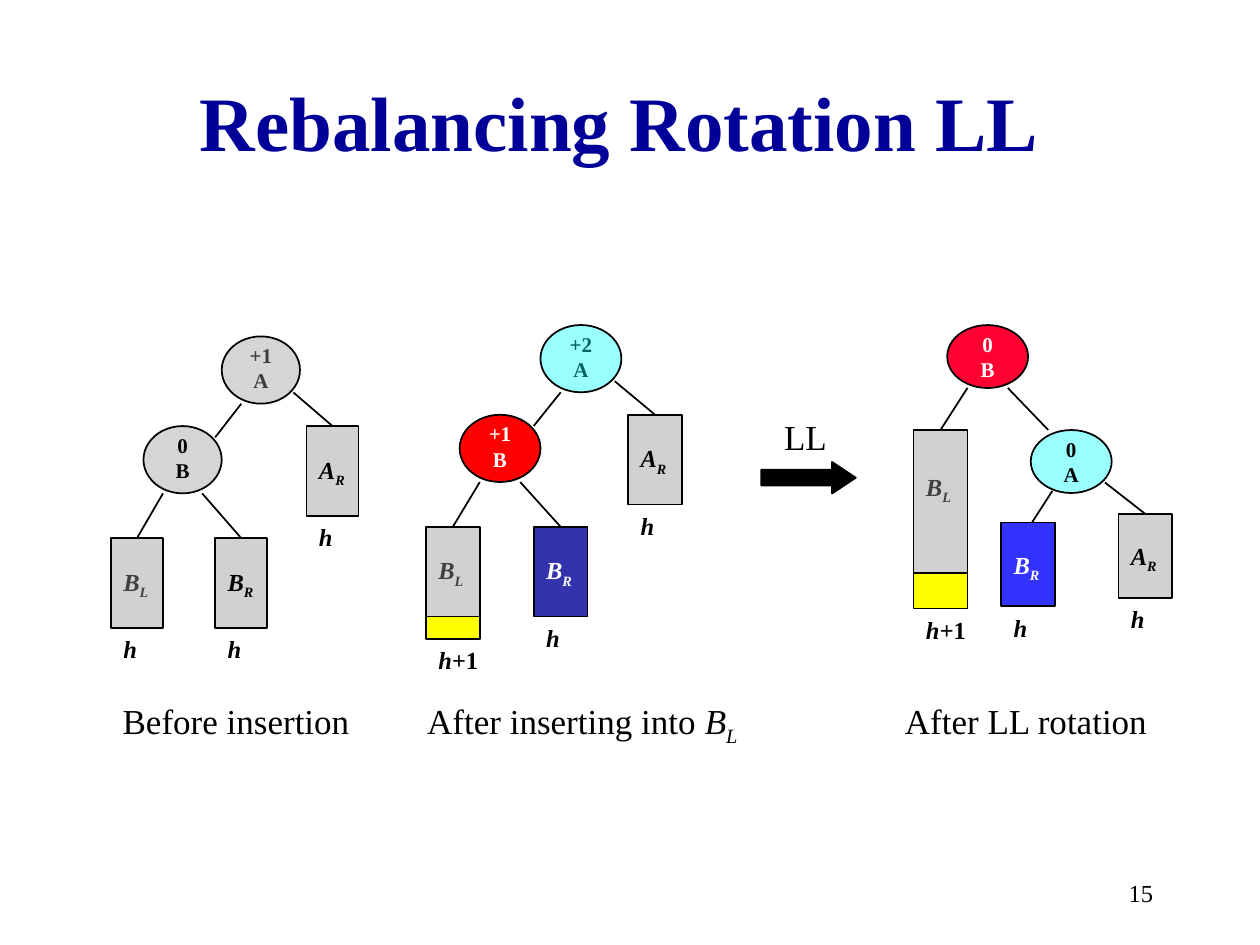
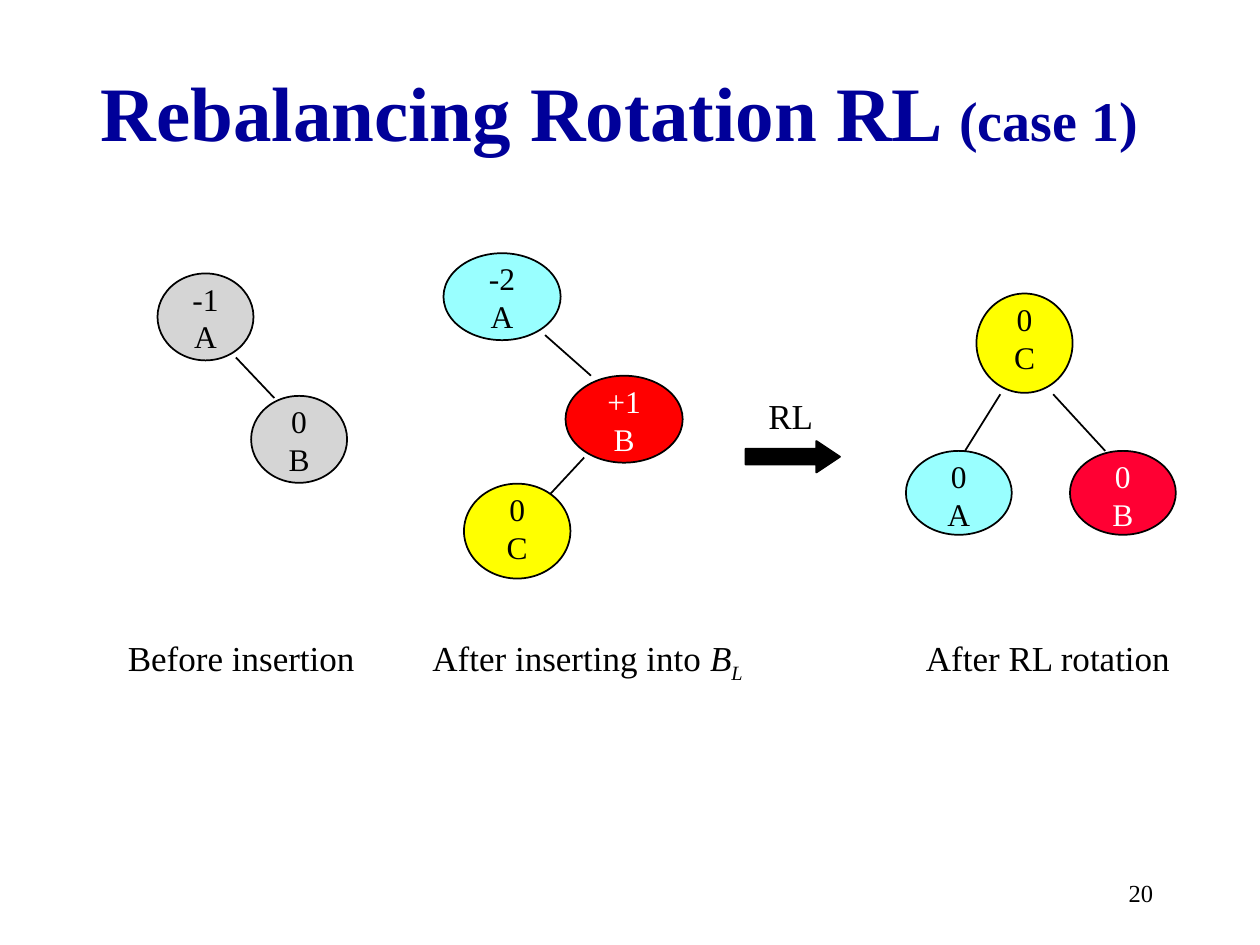
"""Build two slides that show AVL tree rebalancing rotations."""
import dataclasses

import lxml.etree
import pptx
import pptx.dml.color
import pptx.enum.shapes
import pptx.enum.text
import pptx.oxml.ns
import pptx.util

SHAPES = pptx.enum.shapes.MSO_SHAPE
ALIGN = pptx.enum.text.PP_ALIGN
MIDDLE = pptx.enum.text.MSO_ANCHOR.MIDDLE
FONT = "Times New Roman"
NAVY, BLACK, WHITE = "000099", "000000", "FFFFFF"
GREY_NODE, CYAN = ("969696", 40), ("00FFFF", 40)
GREY_BOX, NAVY_BOX, BLUE_BOX = ("969696", 43), (NAVY, 80), ("0000FF", 80)
RED, CRIMSON, YELLOW = ("FF0000", 100), ("FF0033", 100), ("FFFF00", 100)
B_LEFT = [("B", "italic"), ("L", "subscript")]
B_RIGHT = [("B", "italic"), ("R", "subscript")]
A_RIGHT = [("A", "italic"), ("R", "subscript")]
H = [("h", "italic")]
H_PLUS_1 = [("h+", "italic"), ("1", "")]


@dataclasses.dataclass
class Grid:
    """Origin and cell size, in inches, of a grid on the slide."""
    left: float
    top: float
    column: float
    row: float

    def point(self, x, y):
        """Return the slide position of a grid point."""
        return (pptx.util.Inches(self.left + x * self.column),
                pptx.util.Inches(self.top + y * self.row))

    def box(self, x, y, width, height):
        """Return left, top, width and height of a grid area."""
        return (*self.point(x, y), pptx.util.Inches(width * self.column),
                pptx.util.Inches(height * self.row))


PAGE = Grid(0, 0, 1 / 12, 1 / 12)


def color(hex_string):
    """Turn a hex string into a colour."""
    return pptx.dml.color.RGBColor.from_string(hex_string)


def write(paragraph, runs, size, ink=BLACK, bold=False, align=ALIGN.LEFT):
    """Fill a paragraph with (text, style) runs."""
    paragraph.alignment = align
    for text, style in runs:
        run = paragraph.add_run()
        run.text = text
        run.font.name = FONT
        run.font.size = pptx.util.Pt(size)
        run.font.bold = bold
        run.font.italic = style in ("italic", "subscript")
        run.font.color.rgb = color(ink)
        if style == "subscript":
            run.font._element.set("baseline", "-25000")


def add_text(shapes, box, lines, size, **style):
    """Add a text box with one paragraph for each list of runs."""
    shape = shapes.add_textbox(*box)
    frame = shape.text_frame
    frame.word_wrap = True
    for index, runs in enumerate(lines):
        paragraph = frame.add_paragraph() if index else frame.paragraphs[0]
        write(paragraph, runs, size, **style)
    return shape


def add_outlined(shapes, kind, box, fill):
    """Add a black-outlined shape with a (colour, opacity) fill."""
    shape = shapes.add_shape(kind, *box)
    shape.shadow.inherit = False
    shape.fill.solid()
    shape.fill.fore_color.rgb = color(fill[0])
    shape.line.color.rgb = color(BLACK)
    shape.line.width = pptx.util.Pt(1)
    if fill[1] < 100:
        rgb = shape._element.spPr.find(".//" + pptx.oxml.ns.qn("a:srgbClr"))
        lxml.etree.SubElement(rgb, pptx.oxml.ns.qn("a:alpha"), val=str(fill[1] * 1000))
    return shape


class Tree:
    """A group of nodes, subtrees and edges placed on its own grid."""

    def __init__(self, slide, grid, size=18, bold=False):
        """Start an empty tree with its node text style."""
        self.shapes = slide.shapes.add_group_shape().shapes
        self.grid, self.size, self.bold = grid, size, bold

    def node(self, x, y, balance, name, fill, width=6, height=6, ink=BLACK, veiled=False):
        """Add an ellipse with its balance and name; a veiled label lies behind."""
        def label():
            left, top, label_width, _ = self.grid.box(x + width * 0.08, y, width * 0.84, 1)
            label_height = pptx.util.Inches(0.1 + self.size / 30)
            add_text(self.shapes, (left, top, label_width, label_height),
                     [[(balance, "")], [(name, "")]], self.size, ink=ink,
                     bold=self.bold, align=ALIGN.CENTER)

        def ellipse():
            add_outlined(self.shapes, SHAPES.OVAL, self.grid.box(x, y, width, height), fill)

        for draw in (label, ellipse) if veiled else (ellipse, label):
            draw()

    def subtree(self, x, y, name, fill=GREY_BOX, height=8, added=0, ink=BLACK, veiled=False):
        """Add a subtree box, its name, any added level and its height."""
        def label():
            self.tag(x, y + height / 4, name, ink)

        def box():
            add_outlined(self.shapes, SHAPES.RECTANGLE, self.grid.box(x, y, 4, height), fill)

        for draw in (label, box) if veiled else (box, label):
            draw()
        if added:
            add_outlined(self.shapes, SHAPES.RECTANGLE,
                         self.grid.box(x, y + height, 4, added), YELLOW)
        self.tag(x, y + height + added, H_PLUS_1 if added else H)

    def tag(self, x, y, runs, ink=BLACK):
        """Add a small bold label."""
        left, top, width, _ = self.grid.box(x, y, 6, 1)
        add_text(self.shapes, (left, top, width, pptx.util.Inches(0.33)),
                 [runs], 14, ink=ink, bold=True)

    def edges(self, *ends):
        """Add a line for each (x1, y1, x2, y2)."""
        for x1, y1, x2, y2 in ends:
            line = self.shapes.add_connector(
                pptx.enum.shapes.MSO_CONNECTOR.STRAIGHT,
                *self.grid.point(x1, y1), *self.grid.point(x2, y2))
            line.line.color.rgb = color(BLACK)
            line.line.width = pptx.util.Pt(1)
            lxml.etree.SubElement(line._element.spPr, pptx.oxml.ns.qn("a:effectLst"))


def add_rotation_slide(presentation, title_top, title_runs, number):
    """Add a title-only slide with its title and page number."""
    slide = presentation.slides.add_slide(presentation.slide_layouts[5])
    title = slide.shapes.title
    title.left, title.top, title.width, title.height = PAGE.box(8, title_top, 102, 15)
    title.text_frame.vertical_anchor = MIDDLE
    paragraph = title.text_frame.paragraphs[0]
    for text, size in title_runs:
        write(paragraph, [(text, "")], size, NAVY, True, ALIGN.CENTER)
    footer = add_text(slide.shapes, PAGE.box(86, 82, 25, 6), [[(number, "")]], 14,
                      align=ALIGN.RIGHT)
    footer.text_frame.vertical_anchor = MIDDLE
    return slide


def add_rotation_arrow(slide, x, y, name):
    """Add the block arrow with the rotation name above it."""
    shapes = slide.shapes.add_group_shape().shapes
    arrow = add_outlined(shapes, SHAPES.RIGHT_ARROW, PAGE.box(x, y, 9, 3), (BLACK, 100))
    arrow.adjustments[0], arrow.adjustments[1] = 0.5, 0.75
    add_text(shapes, PAGE.box(x + 1, y - 5, 7, 5.2), [[(name, "")]], 20)


def add_captions(slide, y, columns, rotation):
    """Add the caption below each of the three stages."""
    captions = ([("Before insertion", "")],
                [("After inserting into ", ""), *B_LEFT],
                [(f"After {rotation} rotation", "")])
    for x, width, runs in zip(columns, (24, 34, 28), captions):
        add_text(slide.shapes, PAGE.box(x, y, width, 5.2), [runs], 20)


def add_left_heavy_tree(slide, grid, root, child, right_box, added=0):
    """Add the LL tree before rotation; root and child are (balance, fill)."""
    ink = WHITE if added else BLACK
    tree = Tree(slide, grid, 12, True)
    tree.node(8.5, 0, root[0], "A", root[1], veiled=True)
    tree.node(2.5, 8, child[0], "B", child[1], ink=ink)
    tree.subtree(0, 18, B_LEFT, added=added, veiled=True)
    tree.subtree(8, 18, B_RIGHT, right_box, ink=ink)
    tree.subtree(15, 8, A_RIGHT)
    tree.edges((10, 6, 8, 9), (4, 14, 2, 18), (7, 14, 10, 18), (14, 5, 17, 8))


def add_ll_slide(presentation):
    """Add the LL rotation slide."""
    slide = add_rotation_slide(presentation, 4, [("Rebalancing Rotation LL", 44)], "15")
    add_left_heavy_tree(slide, Grid(0.88, 2.67, 0.1035, 0.089),
                        ("+1", GREY_NODE), ("0", GREY_NODE), GREY_BOX)
    add_left_heavy_tree(slide, Grid(3.38, 2.58, 0.107, 0.089),
                        ("+2", CYAN), ("+1", RED), NAVY_BOX, added=2)

    rotated = Tree(slide, Grid(7.25, 2.58, 0.107, 0.0833), 12, True)
    rotated.node(2.5, 0, "0", "B", CRIMSON, ink=WHITE)
    rotated.node(8.7, 10, "0", "A", CYAN)
    rotated.subtree(0, 10, B_LEFT, height=13.6, added=3.4, veiled=True)
    rotated.subtree(6.5, 18.8, B_RIGHT, BLUE_BOX, ink=WHITE)
    rotated.subtree(15.2, 18, A_RIGHT)
    rotated.edges((4, 6, 2, 10), (7, 6, 10, 10), (14.2, 15, 17.2, 18),
                  (10.3, 15.8, 8.8, 18.8))

    add_rotation_arrow(slide, 72.5, 44, "LL")
    add_captions(slide, 66, (10.5, 39.5, 85), "LL")


def add_rl_slide(presentation):
    """Add the slide for the first case of the RL rotation."""
    slide = add_rotation_slide(
        presentation, 3, [("Rebalancing Rotation RL ", 44), ("(case 1)", 32)], "20")
    add_rotation_arrow(slide, 71, 42, "RL")
    add_captions(slide, 60, (11, 40, 87), "RL")

    before = Tree(slide, Grid(1.25, 2.17, 0.127, 0.115))
    before.node(0, 0, "-1", "A", GREY_NODE)
    before.node(5.85, 8.45, "0", "B", GREY_NODE)
    before.edges((4.9, 5.8, 7.3, 8.6))

    inserted = Tree(slide, Grid(3.52, 2.01, 0.155, 0.115))
    inserted.node(0, 0, "-2", "A", CYAN)
    inserted.node(6.25, 8.45, "+1", "B", RED, ink=WHITE)
    inserted.edges((7.2, 14.1, 5.2, 17), (5.2, 5.65, 7.55, 8.45))
    inserted.node(1.05, 15.9, "0", "C", YELLOW, 5.45, 6.55)

    rotated = Tree(slide, Grid(7.19, 2.33, 0.14, 0.111))
    rotated.node(0, 11.25, "0", "A", CYAN)
    rotated.node(9.3, 11.25, "0", "B", CRIMSON, ink=WHITE)
    rotated.edges((5.35, 7.2, 3.35, 11.25), (8.35, 7.2, 11.3, 11.25))
    rotated.node(4, 0, "0", "C", YELLOW, 5.45, 7.1)


def main():
    """Build and save the presentation."""
    presentation = pptx.Presentation()
    presentation.slide_width = pptx.util.Inches(10)
    presentation.slide_height = pptx.util.Inches(7.5)
    add_ll_slide(presentation)
    add_rl_slide(presentation)
    presentation.save("out.pptx")


if __name__ == "__main__":
    main()
